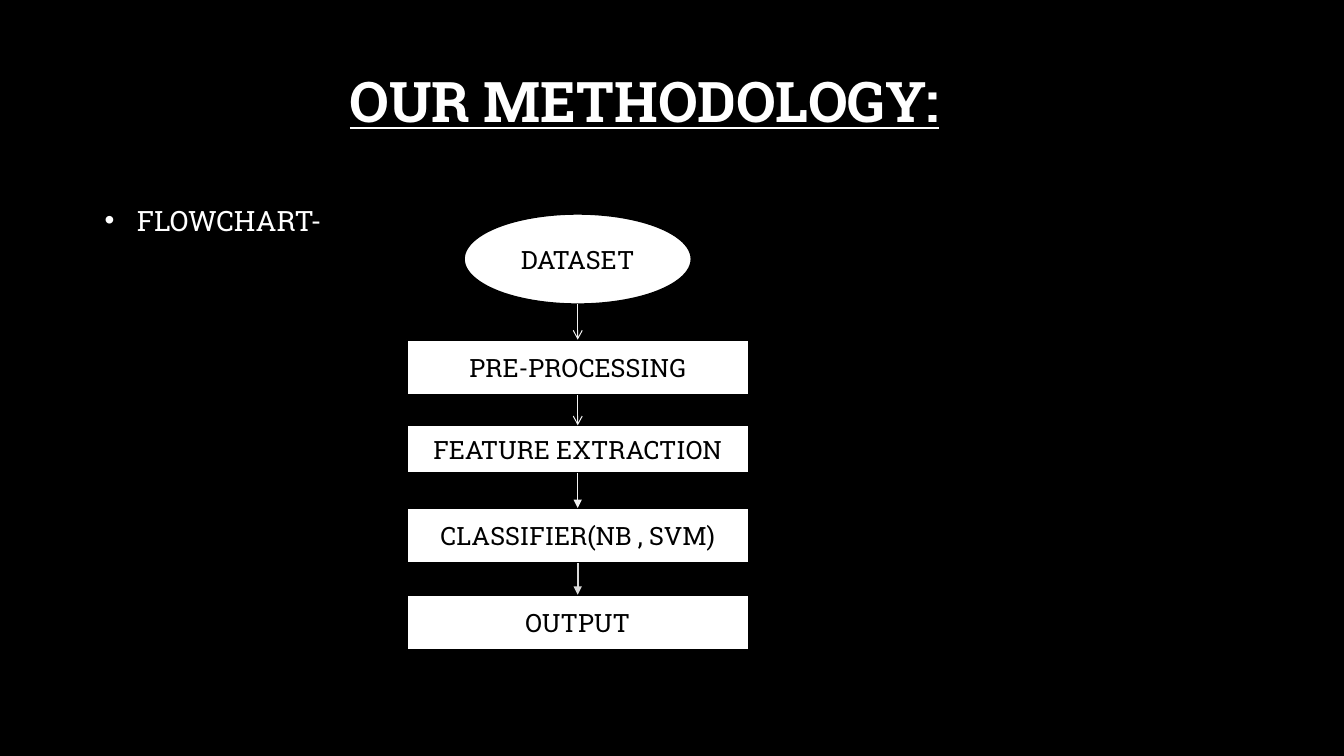
from lxml import etree
from pptx import Presentation
from pptx import util as u
from pptx.dml.color import RGBColor
from pptx.enum import shapes, text
from pptx.oxml.ns import qn

COLORS = {"black": "000000", "white": "FFFFFF", "pale": "F2F2F2", "gray": "D9D9D9"}
FONT = "Roboto Slab"
CENTER_X = 5.73


def color(name):
    return RGBColor.from_string(COLORS[name])


def write(shape, wording, size, fill="white", bold=False, underline=False,
          align=text.PP_ALIGN.CENTER, anchor=text.MSO_ANCHOR.MIDDLE,
          spacing=1.0, bullet_indent=None):
    frame = shape.text_frame
    frame.word_wrap = True
    frame.vertical_anchor = anchor
    paragraph = frame.paragraphs[0]
    paragraph.alignment = align
    paragraph.line_spacing = spacing
    if bullet_indent:
        properties = paragraph._p.get_or_add_pPr()
        properties.set("marL", str(u.Inches(bullet_indent)))
        properties.set("indent", str(-u.Inches(bullet_indent)))
        etree.SubElement(properties, qn("a:buFont"), typeface="Arial")
        etree.SubElement(properties, qn("a:buChar"), char="•")
    run = paragraph.add_run()
    run.text = wording
    run.font.name = FONT
    run.font.size = u.Pt(size)
    run.font.bold = bold
    run.font.underline = underline
    run.font.color.rgb = color(fill)


presentation = Presentation()
presentation.slide_width = u.Inches(13.33)
presentation.slide_height = u.Inches(7.5)
slide = presentation.slides.add_slide(presentation.slide_layouts[6])
slide.background.fill.solid()
slide.background.fill.fore_color.rgb = color("black")

title = slide.shapes.add_textbox(u.Inches(0.73), u.Inches(0.31), u.Inches(11.32), u.Inches(1.45))
write(title, "OUR METHODOLOGY:", 40, bold=True, underline=True, spacing=0.9)

body = slide.shapes.add_textbox(u.Inches(0.94), u.Inches(1.9), u.Inches(11.32), u.Inches(5.38))
write(body, "FLOWCHART-", 20, align=text.PP_ALIGN.LEFT, anchor=text.MSO_ANCHOR.TOP,
      spacing=1.2, bullet_indent=0.32)

OVAL, BOX = shapes.MSO_SHAPE.OVAL, shapes.MSO_SHAPE.RECTANGLE
# Wording, preset, top, width, height, incoming arrow (color, width, head)
steps = [
    ("DATASET", OVAL, 2.12, 2.26, 0.9, None),
    ("PRE-PROCESSING", BOX, 3.37, 3.39, 0.55, ("pale", 0.75, "arrow")),
    ("FEATURE EXTRACTION", BOX, 4.22, 3.39, 0.47, ("pale", 0.75, "arrow")),
    ("CLASSIFIER(NB , SVM)", BOX, 5.04, 3.39, 0.55, ("pale", 1, "triangle")),
    ("OUTPUT", BOX, 5.9, 3.39, 0.55, ("gray", 1.5, "triangle")),
]

previous = None
for wording, preset, top, width, height, arrow in steps:
    step = slide.shapes.add_shape(preset, u.Inches(CENTER_X - width / 2), u.Inches(top),
                                  u.Inches(width), u.Inches(height))
    step.shadow.inherit = False
    step.fill.solid()
    step.fill.fore_color.rgb = color("white")
    step.line.color.rgb = color("black")
    step.line.width = u.Pt(1.5)
    write(step, wording, 18, fill="black")

    if arrow:
        line_color, line_width, head = arrow
        connector = slide.shapes.add_connector(
            shapes.MSO_CONNECTOR.STRAIGHT, u.Inches(CENTER_X), previous.top + previous.height,
            u.Inches(CENTER_X), step.top)
        if previous.auto_shape_type == BOX:
            connector.begin_connect(previous, 2)
        connector.end_connect(step, 0)
        connector.line.color.rgb = color(line_color)
        connector.line.width = u.Pt(line_width)
        etree.SubElement(connector.line._get_or_add_ln(), qn("a:tailEnd"), type=head)
        etree.SubElement(connector._element.spPr, qn("a:effectLst"))
    previous = step

presentation.save("out.pptx")
